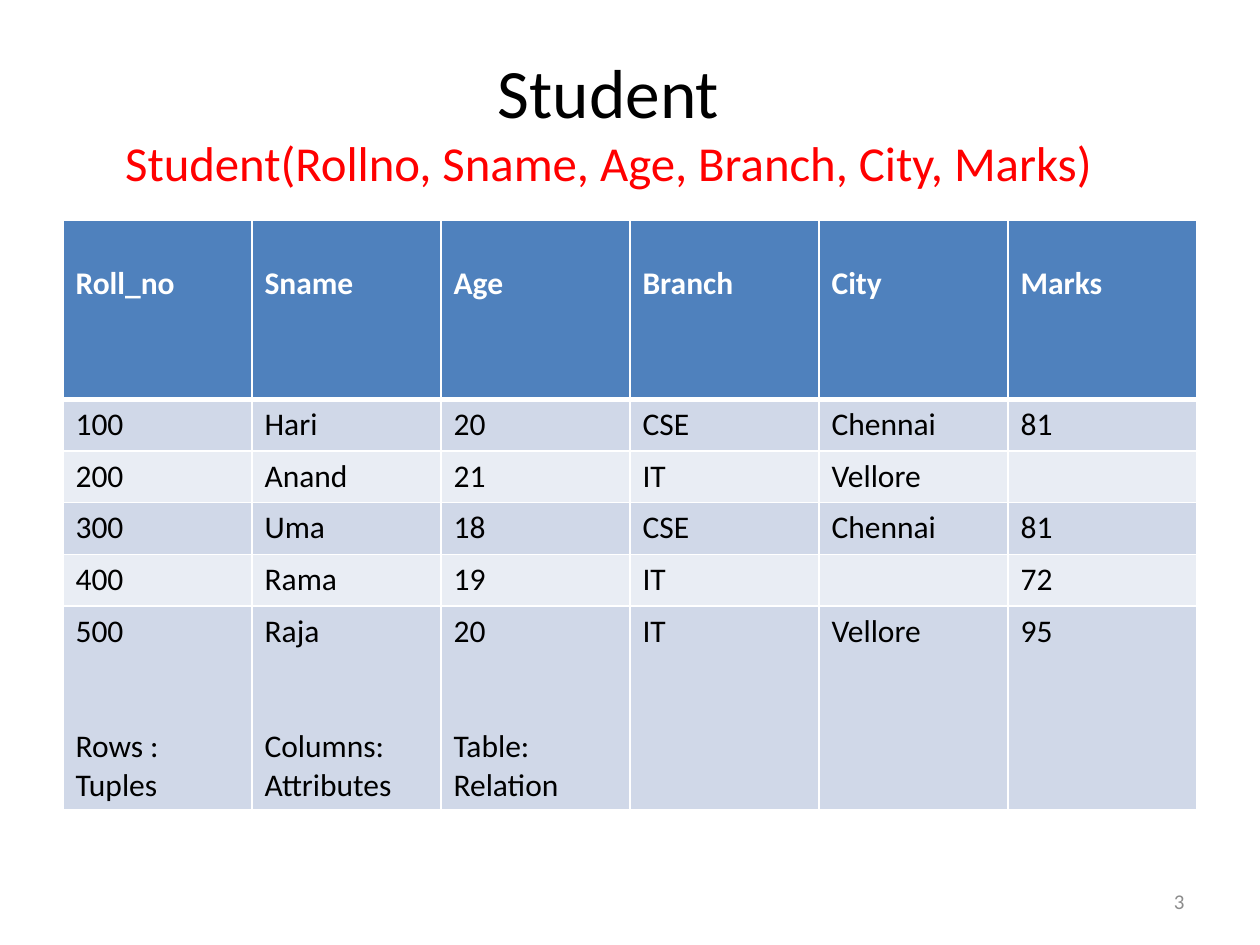
"""Build the Student relation slide."""
from dataclasses import dataclass

from lxml import etree
from pptx import Presentation
from pptx import util as u
from pptx.dml.color import RGBColor
from pptx.enum import text
from pptx.oxml.ns import qn


@dataclass(frozen=True)
class Theme:
    """Colours, font and type sizes."""
    font: str = "Calibri"
    black: str = "000000"
    white: str = "FFFFFF"
    red: str = "FF0000"
    grey: str = "8C8C8C"
    header: str = "4F81BD"
    bands: tuple = ("D0D8E8", "E9EDF4")
    title: float = 39.6
    subtitle: float = 27.9
    body: float = 18
    small: float = 12


def add_text(para, words, *, font, size, color, bold=False):
    """Add one formatted span to a paragraph."""
    span = para.add_run()
    span.text = words
    span.font.name = font
    span.font.size = u.Pt(size)
    span.font.bold = bold
    span.font.color.rgb = RGBColor.from_string(color)


def set_border(cell, side, color, width):
    """Draw a solid line on one side of a cell."""
    properties = cell._tc.get_or_add_tcPr()
    line = etree.SubElement(properties, qn(f"a:ln{side}"), w=str(u.Pt(width)))
    fill = etree.SubElement(line, qn("a:solidFill"))
    etree.SubElement(fill, qn("a:srgbClr"), val=color)


class Painter:
    """Hold the theme and the current slide."""

    def __init__(self, page, theme):
        """Keep the page and its theme."""
        self.page = page
        self.theme = theme

    def text_box(self, left, top, width, height, lines, align):
        """Place vertically centred lines of (words, size, colour)."""
        box = self.page.shapes.add_textbox(*map(u.Inches, (left, top, width, height)))
        frame = box.text_frame
        frame.word_wrap = True
        frame.vertical_anchor = text.MSO_ANCHOR.MIDDLE
        para = frame.paragraphs[0]
        para.alignment = align
        for index, (words, size, color) in enumerate(lines):
            if index:
                para.add_line_break()
            add_text(para, words, font=self.theme.font, size=size, color=color)

    def cell(self, cell, lines, row):
        """Fill, border and letter one table cell."""
        theme = self.theme
        is_header = row == 0
        widths = {"L": 1, "R": 1, "T": 3 if row == 1 else 1, "B": 3 if is_header else 1}
        for side, width in widths.items():
            set_border(cell, side, theme.white, width)
        fill = theme.header if is_header else theme.bands[(row - 1) % 2]
        cell.fill.solid()
        cell.fill.fore_color.rgb = RGBColor.from_string(fill)
        if is_header:
            cell.margin_top = u.Inches(0.35)
        frame = cell.text_frame
        for index, words in enumerate(lines):
            para = frame.add_paragraph() if index else frame.paragraphs[0]
            if index == 1:
                para.space_before = u.Pt(44)
            if words:
                add_text(para, words, font=theme.font, size=theme.body, bold=is_header,
                         color=theme.white if is_header else theme.black)

    def table(self, left, top, column_width, heights, rows):
        """Place a banded table with equal columns."""
        frame = self.page.shapes.add_table(
            len(rows), len(rows[0]), u.Inches(left), u.Inches(top),
            u.Inches(column_width * len(rows[0])), u.Inches(sum(heights)))
        table = frame.table
        table.horz_banding = False
        for column in table.columns:
            column.width = u.Inches(column_width)
        for row, (height, values) in enumerate(zip(heights, rows)):
            table.rows[row].height = u.Inches(height)
            for column, value in enumerate(values):
                self.cell(table.cell(row, column), value.split("\n"), row)


STUDENTS = [
    ["Roll_no", "Sname", "Age", "Branch", "City", "Marks"],
    ["100", "Hari", "20", "CSE", "Chennai", "81"],
    ["200", "Anand", "21", "IT", "Vellore", ""],
    ["300", "Uma", "18", "CSE", "Chennai", "81"],
    ["400", "Rama", "19", "IT", "", "72"],
    ["500\nRows : Tuples", "Raja\nColumns: Attributes", "20\nTable:\nRelation",
     "IT", "Vellore", "95"],
]


def main():
    """Build and save the deck."""
    deck = Presentation()
    deck.slide_width, deck.slide_height = u.Inches(10), u.Inches(7.5)
    theme = Theme()
    painter = Painter(deck.slides.add_slide(deck.slide_layouts[6]), theme)
    painter.text_box(0.33, 0.33, 9, 1.25, [
        ("Student", theme.title, theme.black),
        ("Student(Rollno, Sname, Age, Branch, City, Marks)", theme.subtitle, theme.red),
    ], text.PP_ALIGN.CENTER)
    painter.table(0.5, 1.75, 1.5, [1.42] + [0.41] * 4 + [1.62], STUDENTS)
    painter.text_box(7.17, 6.95, 2.33, 0.4, [("3", theme.small, theme.grey)],
                     text.PP_ALIGN.RIGHT)
    deck.save("out.pptx")


if __name__ == "__main__":
    main()
